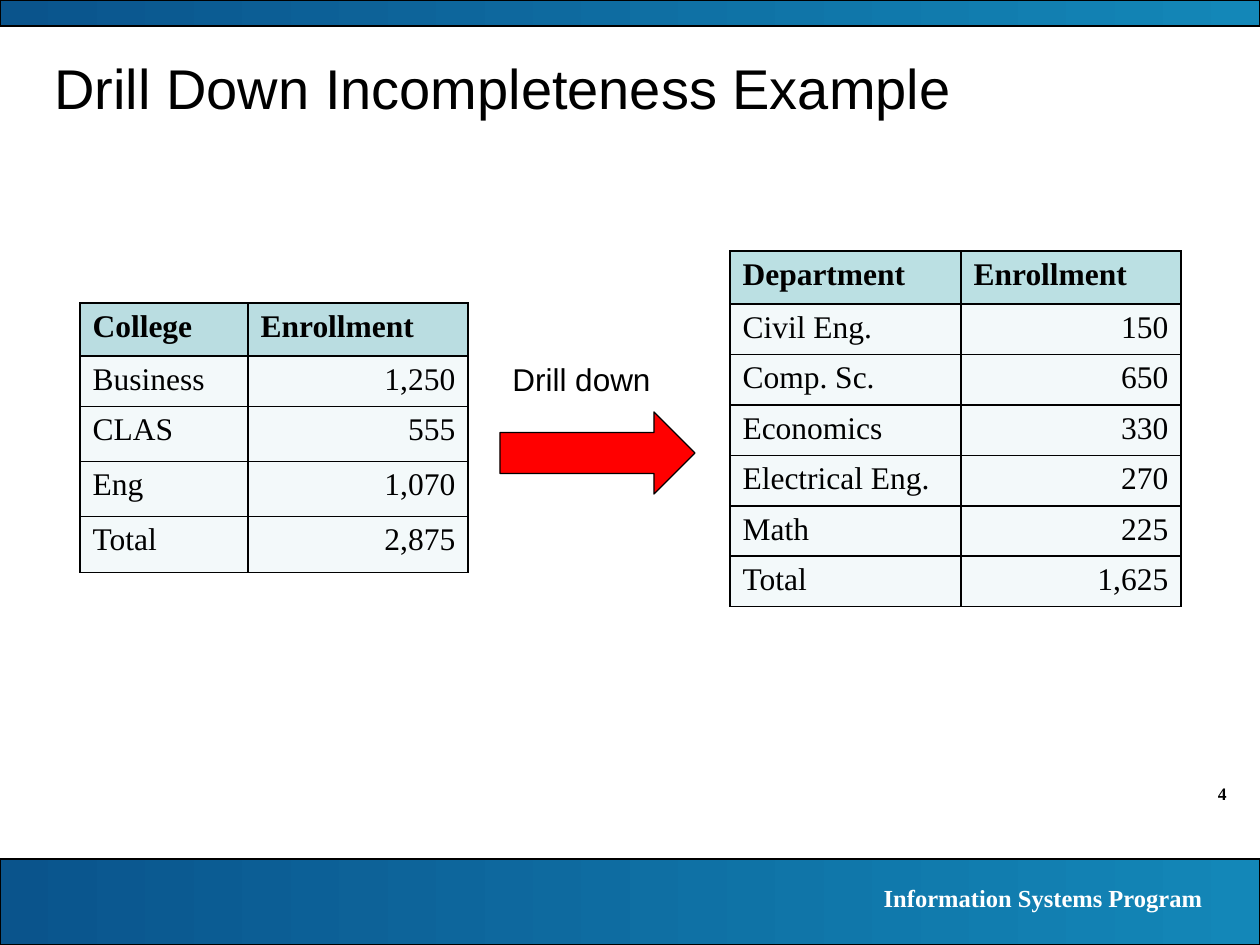
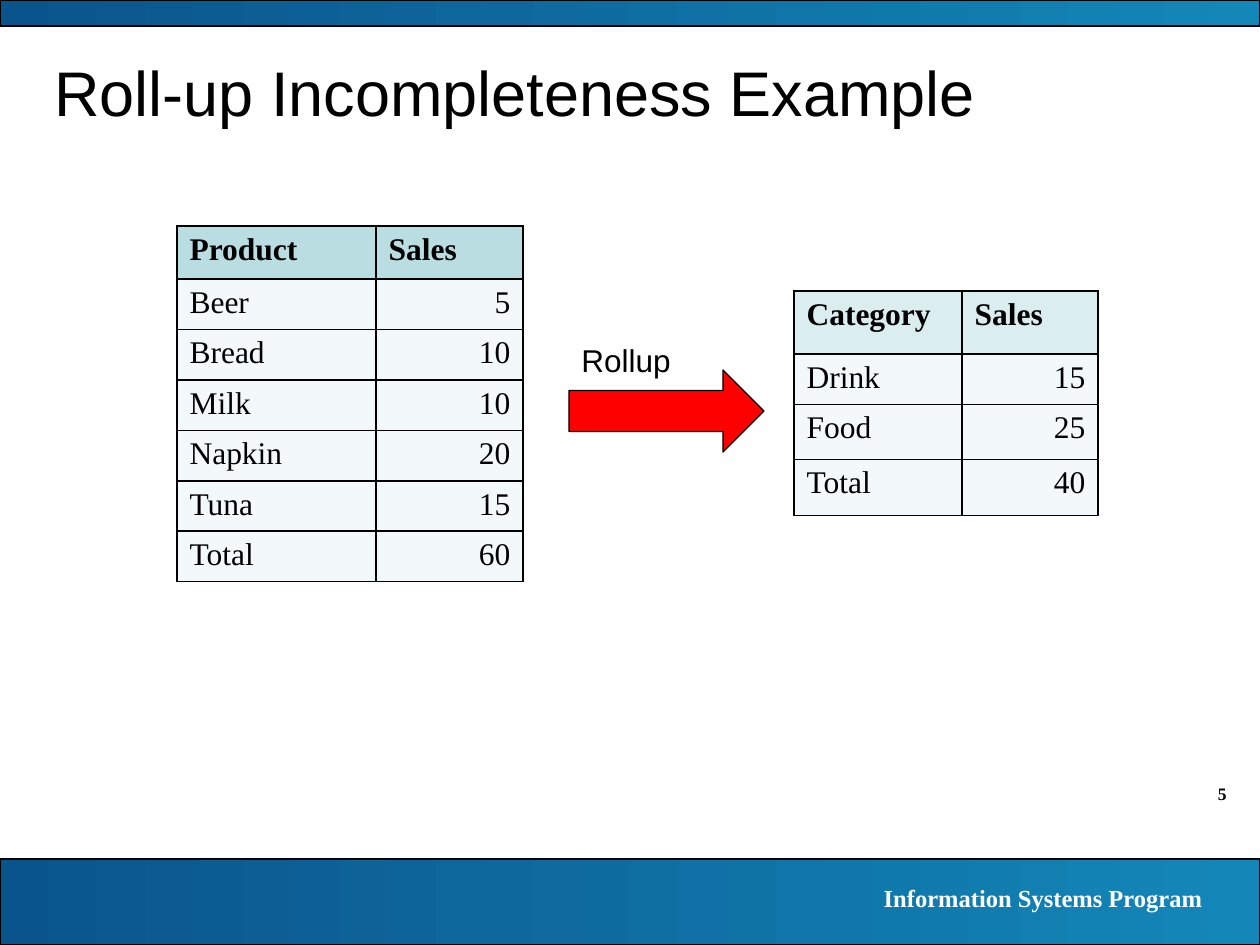
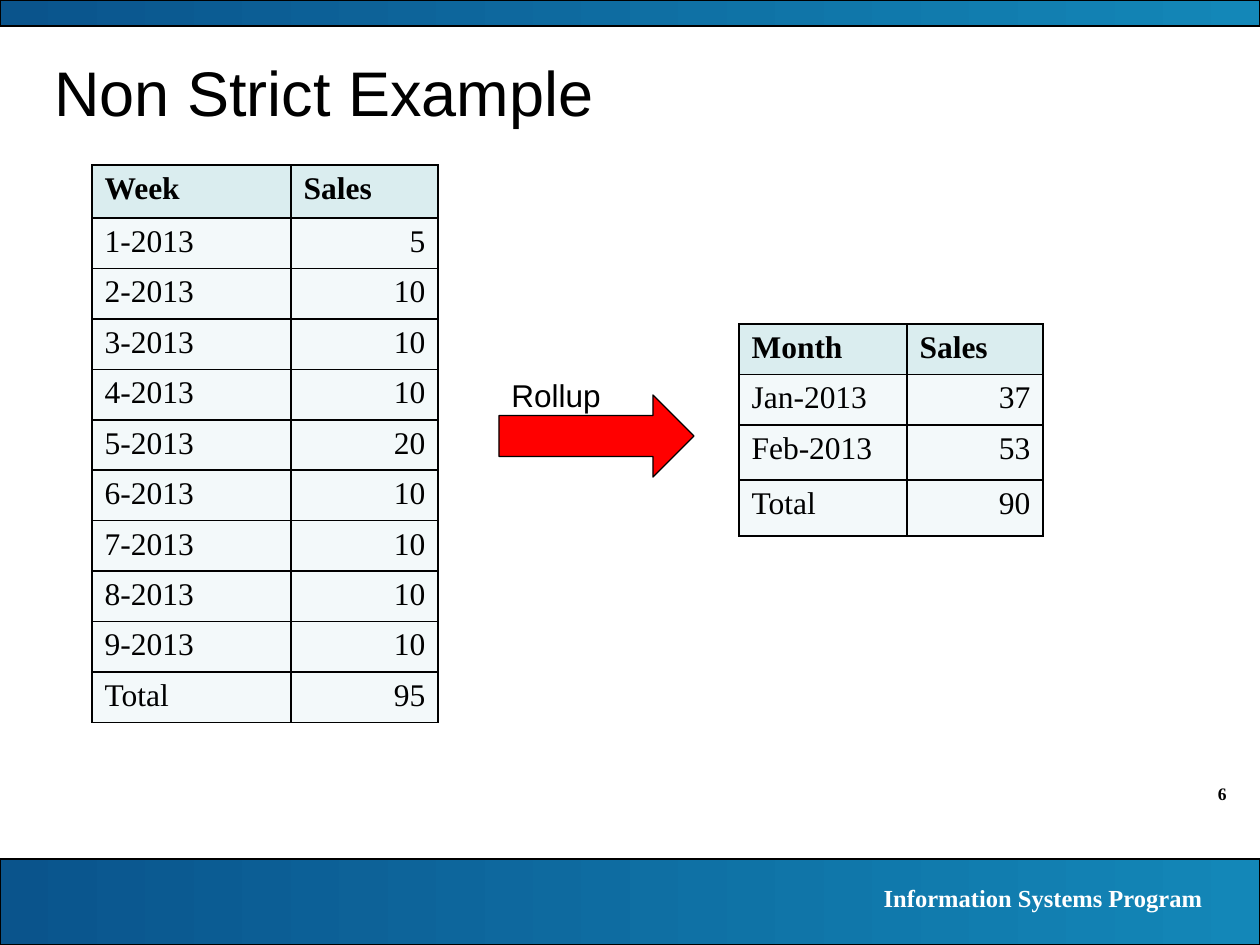
from dataclasses import dataclass

from lxml.etree import SubElement
from pptx import Presentation
from pptx.dml.color import RGBColor as RGB
from pptx.enum.shapes import MSO_SHAPE as SHAPE
from pptx.enum.text import MSO_ANCHOR as ANCHOR, PP_ALIGN as ALIGN
from pptx.oxml.ns import qn
from pptx.util import Pt

SLIDE_W, SLIDE_H = 1260, 945
PX_PER_INCH = 126


@dataclass(frozen=True)
class Theme:
    sans: str = "Arial"
    serif: str = "Times New Roman"
    black: str = "000000"
    white: str = "FFFFFF"
    band_left: str = "0A548C"
    band_right: str = "1387B8"
    arrow: str = "FF0000"
    head_strong: str = "BBE0E3"
    head_medium: str = "BADDE1"
    head_light: str = "DAEDEF"
    cell: str = "F3F9FA"
    title: int = 36
    title_small: int = 32
    body: int = 18
    footer: int = 14
    number: int = 10
    outline: float = 0.75
    border: int = 1


T = Theme()


@dataclass(frozen=True)
class TableSpec:
    """Position, column widths, row heights and contents of one data table."""
    x: int
    y: int
    cols: tuple
    head_h: int
    body_h: tuple
    head_fill: str
    rows: list


def px(n):
    return round(n * 914400 / PX_PER_INCH)


def box(x, y, w, h):
    return [px(n) for n in (x, y, w, h)]


def even_rows(total, count):
    """Share a height equally between rows."""
    return (total / count,) * count


def write(tf, text, align=ALIGN.LEFT, **font):
    """Put one formatted run into a text frame."""
    p = tf.paragraphs[0]
    p.alignment = align
    r = p.add_run()
    r.text = text
    r.font.color.rgb = RGB.from_string(font.pop("color", T.black))
    r.font.size = Pt(font.pop("size", T.body))
    for name, value in font.items():
        setattr(r.font, name, value)


def add_text(s, area, text, **style):
    tf = s.shapes.add_textbox(*box(*area)).text_frame
    tf.word_wrap = True
    tf.vertical_anchor = ANCHOR.TOP
    write(tf, text, **style)


def add_outlined(s, kind, area):
    sp = s.shapes.add_shape(kind, *box(*area))
    sp.shadow.inherit = False
    sp.line.color.rgb = RGB.from_string(T.black)
    sp.line.width = Pt(T.outline)
    return sp


def add_band(s, y, h):
    fill = add_outlined(s, SHAPE.RECTANGLE, (0, y, SLIDE_W, h)).fill
    fill.gradient()
    fill.gradient_angle = 0
    for stop, color in zip(fill.gradient_stops, (T.band_left, T.band_right)):
        stop.color.rgb = RGB.from_string(color)


def add_frame(s, title, number, title_size):
    """Bands, footer, page number and title shared by all slides."""
    add_text(s, (1134, 777, 105, 34), str(number), align=ALIGN.RIGHT,
             name=T.serif, size=T.number, bold=True)
    add_band(s, 859, 86)
    add_band(s, 0, 26)
    add_text(s, (699, 877, 516, 43), "Information Systems Program",
             align=ALIGN.RIGHT, name=T.serif, size=T.footer, bold=True,
             color=T.white)
    add_text(s, (42, 47, 1155, 95), title, name=T.sans, size=title_size)


def set_borders(cell):
    tc_pr = cell._tc.get_or_add_tcPr()
    for side in ("a:lnL", "a:lnR", "a:lnT", "a:lnB"):
        ln = SubElement(tc_pr, qn(side), w=str(Pt(T.border)))
        fill = SubElement(ln, qn("a:solidFill"))
        SubElement(fill, qn("a:srgbClr"), val=T.black)


def add_data_table(s, spec):
    """Labels on the left, right-aligned figures, bold header row."""
    heights = (spec.head_h, *spec.body_h)
    area = box(spec.x, spec.y, sum(spec.cols), sum(heights))
    table = s.shapes.add_table(len(heights), len(spec.cols), *area).table
    table.first_row = table.horz_banding = False
    for col, w in zip(table.columns, spec.cols):
        col.width = px(w)
    for i, (row, h, values) in enumerate(zip(table.rows, heights, spec.rows)):
        row.height = px(h)
        is_head = i == 0
        for j, (cell, value) in enumerate(zip(row.cells, values)):
            set_borders(cell)
            cell.fill.solid()
            cell.fill.fore_color.rgb = RGB.from_string(
                spec.head_fill if is_head else T.cell)
            is_figure = j > 0 and not is_head
            write(cell.text_frame, value, name=T.serif, bold=is_head,
                  align=ALIGN.RIGHT if is_figure else ALIGN.LEFT)


def add_step(s, x, y, label, label_rise):
    """Block arrow at x, y with its label starting label_rise above it."""
    fill = add_outlined(s, SHAPE.RIGHT_ARROW, (x, y, 195, 82)).fill
    fill.solid()
    fill.fore_color.rgb = RGB.from_string(T.arrow)
    add_text(s, (x, y - label_rise, 175, 50), label, name=T.sans)


def build_slide(prs, number, title, tables, step, title_size=T.title):
    s = prs.slides.add_slide(prs.slide_layouts[6])
    add_frame(s, title, number, title_size)
    for spec in tables:
        add_data_table(s, spec)
    add_step(s, *step)


COLLEGES = TableSpec(
    80, 303, (168, 220), 53, (50, 55, 55, 56), T.head_medium,
    [("College", "Enrollment"), ("Business", "1,250"), ("CLAS", "555"),
     ("Eng", "1,070"), ("Total", "2,875")])

DEPARTMENTS = TableSpec(
    730, 251, (231, 220), 53, even_rows(302, 6), T.head_strong,
    [("Department", "Enrollment"), ("Civil Eng.", "150"),
     ("Comp. Sc.", "650"), ("Economics", "330"), ("Electrical Eng.", "270"),
     ("Math", "225"), ("Total", "1,625")])

PRODUCTS = TableSpec(
    177, 226, (199, 147), 53, even_rows(302, 6), T.head_medium,
    [("Product", "Sales"), ("Beer", "5"), ("Bread", "10"), ("Milk", "10"),
     ("Napkin", "20"), ("Tuna", "15"), ("Total", "60")])

CATEGORIES = TableSpec(
    794, 291, (168, 136), 63, (50, 55, 56), T.head_light,
    [("Category", "Sales"), ("Drink", "15"), ("Food", "25"), ("Total", "40")])

WEEK_SALES = ["5", "10", "10", "10", "20", "10", "10", "10", "10"]
WEEKS = TableSpec(
    92, 165, (199, 147), 53, even_rows(475, 10), T.head_light,
    [("Week", "Sales"),
     *((f"{week}-2013", sales) for week, sales in enumerate(WEEK_SALES, 1)),
     ("Total", "95")])

MONTHS = TableSpec(
    739, 324, (168, 136), 48, (50, 55, 56), T.head_light,
    [("Month", "Sales"), ("Jan-2013", "37"), ("Feb-2013", "53"),
     ("Total", "90")])


def main():
    prs = Presentation()
    prs.slide_width, prs.slide_height = px(SLIDE_W), px(SLIDE_H)
    build_slide(prs, 4, "Drill Down Incompleteness Example",
                [DEPARTMENTS, COLLEGES], (500, 412, "Drill down", 58),
                T.title_small)
    build_slide(prs, 5, "Roll-up Incompleteness Example",
                [CATEGORIES, PRODUCTS], (569, 370, "Rollup", 35))
    build_slide(prs, 6, "Non Strict Example",
                [MONTHS, WEEKS], (499, 395, "Rollup", 25))
    prs.save("out.pptx")


if __name__ == "__main__":
    main()
